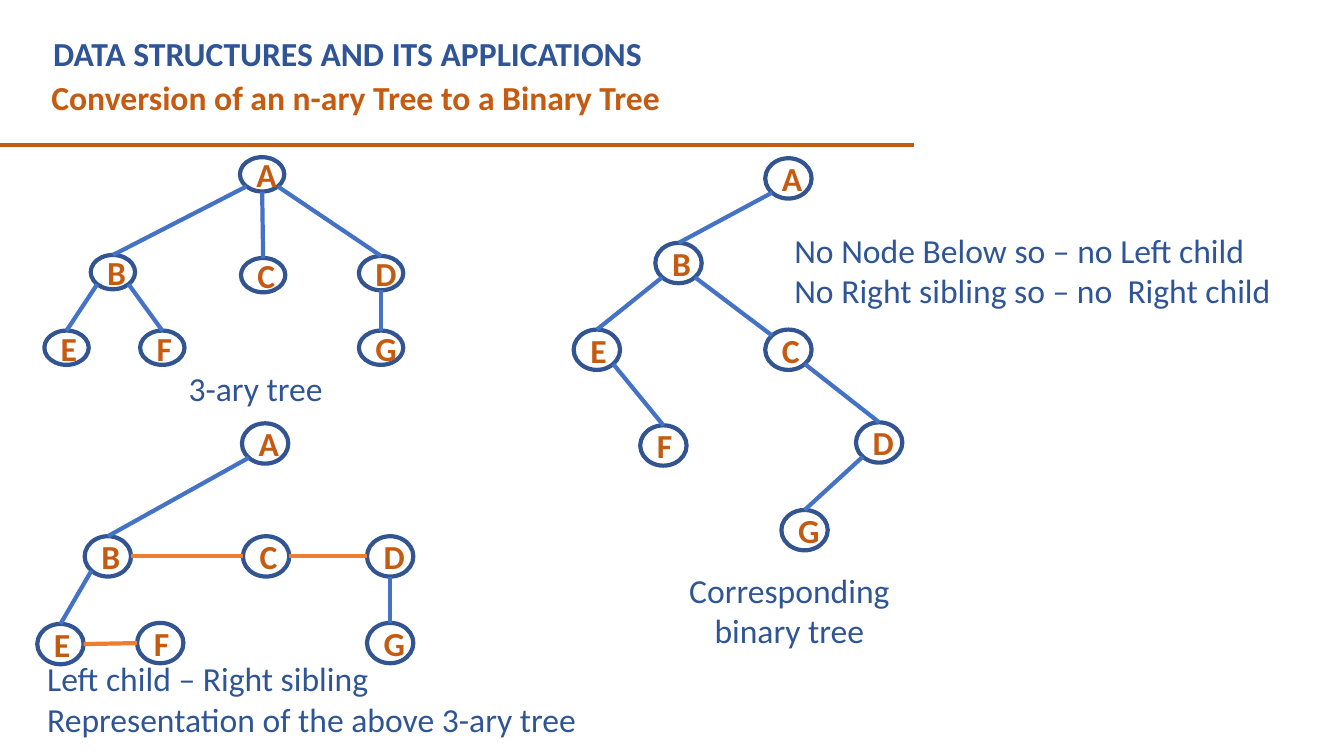
"""Build a slide that converts a 3-ary tree to a binary tree."""
from math import sqrt

from lxml import etree
from pptx import Presentation
from pptx.dml.color import RGBColor
from pptx.enum import shapes, text
from pptx.oxml import ns
from pptx.util import Inches, Pt

ORANGE_TEXT = RGBColor(0xC5, 0x5A, 0x11)
BLUE_TEXT = RGBColor(0x2F, 0x55, 0x97)
NODE_BORDER = RGBColor(0x32, 0x54, 0x91)
CHILD_LINK = RGBColor(0x44, 0x72, 0xC4)
SIBLING_LINK = RGBColor(0xED, 0x7D, 0x31)
WHITE = RGBColor(0xFF, 0xFF, 0xFF)

LEFT, CENTER, JUSTIFY = (text.PP_ALIGN.LEFT, text.PP_ALIGN.CENTER,
                         text.PP_ALIGN.JUSTIFY)

TITLE = (0.41, 0.71, 8.75, 0.5, LEFT, ["Conversion of an n-ary Tree to a Binary Tree"])
COURSE = (0.43, 0.28, 8.2, 0.5, LEFT, ["DATA STRUCTURES AND ITS APPLICATIONS"])
CAPTIONS = [
    (1.74, 3.6, 1.59, 0.5, CENTER, ["3-ary tree"]),
    (6.46, 5.6, 2.74, 0.91, CENTER, ["Corresponding binary tree"]),
    (0.37, 6.48, 5.73, 0.91, JUSTIFY,
     ["Left child – Right sibling", "Representation of the above 3-ary tree"]),
    (7.78, 2.23, 5.2, 0.91, LEFT,
     ["No Node Below so – no Left child", "No Right sibling so – no  Right child"]),
]

TREES = [
    {"grouped": True, "size": (0.44, 0.34),
     "nodes": {"A": (2.38, 1.56), "B": (0.9, 2.53), "C": (2.39, 2.56), "D": (3.56, 2.54),
               "E": (0.44, 3.28), "F": (1.39, 3.28), "G": (3.56, 3.28)},
     "links": ["A SW B N", "A S C N", "A SE D N", "B SW E N", "B SE F N", "D S G N"]},
    {"grouped": False, "size": (0.46, 0.4),
     "nodes": {"A": (2.4, 4.2), "B": (0.84, 5.32), "C": (2.41, 5.32), "D": (3.64, 5.32),
               "E": (0.37, 6.19), "F": (1.36, 6.18), "G": (3.64, 6.18)},
     "links": ["A SW B N", "B SW E N", "D S G N", "B E C W", "C E D W", "E E F W"]},
    {"grouped": False, "size": (0.46, 0.4),
     "nodes": {"A": (7.59, 1.57), "B": (6.5, 2.41), "C": (7.59, 3.27), "D": (8.49, 4.19),
               "E": (5.69, 3.27), "F": (6.35, 4.22), "G": (7.75, 5.06)},
     "links": ["A SW B N", "B SW E N", "B SE C NW", "C SE D N", "E SE F N", "D SW G N"]},
]

DIAGONAL = 1 / sqrt(2)
SITES = {"N": (0, -1), "S": (0, 1), "W": (-1, 0), "E": (1, 0),
         "NW": (-DIAGONAL, -DIAGONAL), "SW": (-DIAGONAL, DIAGONAL),
         "SE": (DIAGONAL, DIAGONAL)}


def add_text(paragraph, wording, color, bold, alignment):
    paragraph.alignment = alignment
    run = paragraph.add_run()
    run.text = wording
    run.font.name = "Calibri"
    run.font.size = Pt(24)
    run.font.bold = bold
    run.font.color.rgb = color


def fill_box(shape, box, color, bold):
    left, top, width, height, alignment, lines = box
    shape.left, shape.top = Inches(left), Inches(top)
    shape.width, shape.height = Inches(width), Inches(height)
    frame = shape.text_frame
    frame.word_wrap = True
    frame.auto_size = text.MSO_AUTO_SIZE.SHAPE_TO_FIT_TEXT
    frame.vertical_anchor = text.MSO_ANCHOR.TOP
    for index, line in enumerate(lines):
        paragraph = frame.add_paragraph() if index else frame.paragraphs[0]
        add_text(paragraph, line, color, bold, alignment)


def add_line(container, start, end, color):
    line = container.add_connector(shapes.MSO_CONNECTOR.STRAIGHT,
                                   *[Inches(value) for value in (*start, *end)])
    line.line.color.rgb = color
    line.line.width = Pt(3)
    properties = line._element.find(ns.qn("p:spPr"))
    etree.SubElement(properties, ns.qn("a:effectLst"))


def add_node(container, letter, position, size):
    node = container.add_shape(shapes.MSO_SHAPE.OVAL,
                               *[Inches(value) for value in (*position, *size)])
    node.shadow.inherit = False
    node.fill.solid()
    node.fill.fore_color.rgb = WHITE
    node.line.color.rgb = NODE_BORDER
    node.line.width = Pt(3)
    node.text_frame.vertical_anchor = text.MSO_ANCHOR.MIDDLE
    add_text(node.text_frame.paragraphs[0], letter, ORANGE_TEXT, True, CENTER)


def site_point(position, size, site):
    return [start + length / 2 * (1 + offset)
            for start, length, offset in zip(position, size, SITES[site])]


def add_tree(slide, tree):
    container = slide.shapes.add_group_shape().shapes if tree["grouped"] else slide.shapes
    nodes, size = tree["nodes"], tree["size"]
    for letter, position in nodes.items():
        add_node(container, letter, position, size)
    for link in tree["links"]:
        source, exit_site, target, entry_site = link.split()
        add_line(container, site_point(nodes[source], size, exit_site),
                 site_point(nodes[target], size, entry_site),
                 SIBLING_LINK if entry_site == "W" else CHILD_LINK)


def add_box(slide, box, color, bold):
    shape = slide.shapes.add_textbox(*[Inches(value) for value in box[:4]])
    fill_box(shape, box, color, bold)


def main():
    presentation = Presentation()
    presentation.slide_width, presentation.slide_height = Inches(13.33), Inches(7.5)
    slide = presentation.slides.add_slide(presentation.slide_layouts[5])
    fill_box(slide.shapes.title, TITLE, ORANGE_TEXT, True)
    add_line(slide.shapes, (0, 1.44), (9.07, 1.44), ORANGE_TEXT)
    add_box(slide, COURSE, BLUE_TEXT, True)
    for tree in TREES:
        add_tree(slide, tree)
    for caption in CAPTIONS:
        add_box(slide, caption, BLUE_TEXT, False)
    presentation.save("out.pptx")


if __name__ == "__main__":
    main()
